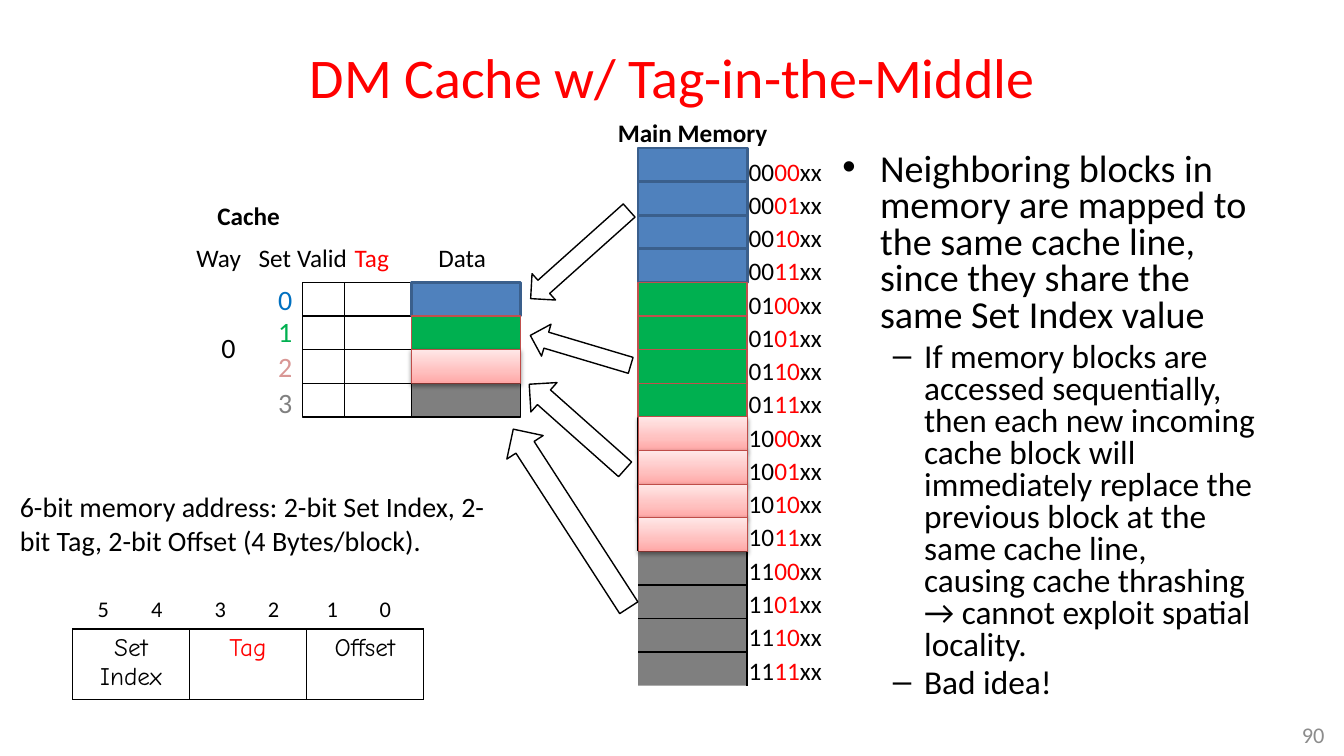
"""Build the slide on a direct-mapped cache with the tag in the middle."""
from copy import deepcopy
from lxml import etree
from pptx import Presentation
from pptx import util as u
from pptx.dml.color import RGBColor
from pptx.enum import shapes, text
from pptx.oxml import ns

rgb = RGBColor.from_string
presentation = Presentation()
presentation.slide_width, presentation.slide_height = u.Cm(33.87), u.Cm(19.05)
slide = presentation.slides.add_slide(presentation.slide_layouts[6])


def add_line(x1, y1, x2, y2):
    line = slide.shapes.add_connector(
        shapes.MSO_CONNECTOR.STRAIGHT, u.Cm(x1), u.Cm(y1), u.Cm(x2), u.Cm(y2))
    line.line.color.rgb = rgb("000000")
    line.line.width = u.Pt(1)
    etree.SubElement(line._element.spPr, ns.qn("a:effectLst"))


def add_text(content, left, top, width, height, size, colour="000000", wrap=False):
    box = slide.shapes.add_textbox(u.Cm(left), u.Cm(top), u.Cm(width), u.Cm(height))
    box.text_frame.word_wrap = wrap
    box.text_frame.text = content
    for paragraph in box.text_frame.paragraphs:
        paragraph.font.name = "Calibri"
        paragraph.font.size = u.Pt(size)
        paragraph.font.color.rgb = rgb(colour)
    return box.text_frame


title = add_text("DM Cache w/ Tag-in-the-Middle", 1.7, 0.33, 30.48, 3.18, 40, "FF0000", True)
title.vertical_anchor = text.MSO_ANCHOR.MIDDLE
title.paragraphs[0].alignment = text.PP_ALIGN.CENTER

row_height = 13.55 / 16
memory_left, memory_top = 16.08, 3.73
cache_top = memory_top + 4 * row_height
data_left, block_width = 10.37, 2.75
memory_right = memory_left + block_width
gray_top = memory_top + 12 * row_height

for left, width in ((7.62, 1.06), (8.68, 1.69), (data_left, block_width)):
    column = slide.shapes.add_shape(
        shapes.MSO_SHAPE.RECTANGLE, u.Cm(left), u.Cm(cache_top), u.Cm(width), u.Cm(4 * row_height))
    column.shadow.inherit = False
    column.fill.background()
    column.line.color.rgb = rgb("000000")
    column.line.width = u.Pt(1)
    for row in range(1, 4):
        y = cache_top + row * row_height
        add_line(left, y, left + width, y)

for row in range(16):
    y = memory_top + row * row_height
    add_line(memory_left, y, memory_right, y)
add_line(memory_left, memory_top, memory_left, gray_top)
add_line(memory_right, memory_top, memory_right, memory_top + 16 * row_height)

palette = [("4F81BD", "3A5F8C", 2), ("00B050", "C0504D", 1),
           ("FFA6A5", "BF4C48", 0.75), ("000000", None, 0)]
pink_stops = [(0, "FFA6A5"), (0.35, "FFC0BF"), (1, "FFE7E7")]
blocks = [(memory_left, memory_top + row * row_height, row // 4) for row in range(16)]
blocks += [(data_left, cache_top + row * row_height, row) for row in range(4)]
for left, top, group in blocks:
    fill, outline, weight = palette[group]
    block = slide.shapes.add_shape(
        shapes.MSO_SHAPE.RECTANGLE, u.Cm(left), u.Cm(top), u.Cm(block_width), u.Cm(row_height))
    block.shadow.inherit = False
    properties = block._element.spPr
    if group == 2:
        block.fill.gradient()
        block.fill.gradient_angle = 90
        stop_list = properties.find(".//" + ns.qn("a:gsLst"))
        stop_list.append(deepcopy(stop_list[0]))
        for stop, (position, colour) in zip(block.fill.gradient_stops, pink_stops):
            stop.position = position
            stop.color.rgb = rgb(colour)
        shadow = etree.SubElement(
            properties.find(ns.qn("a:effectLst")), ns.qn("a:outerShdw"),
            blurRad="40000", dist="20000", dir="5400000", rotWithShape="0")
        shade = etree.SubElement(shadow, ns.qn("a:srgbClr"), val="000000")
        etree.SubElement(shade, ns.qn("a:alpha"), val="38000")
    else:
        block.fill.solid()
        block.fill.fore_color.rgb = rgb(fill)
    if outline:
        block.line.color.rgb = rgb(outline)
        block.line.width = u.Pt(weight)
    else:
        block.line.fill.background()
        solid = properties.find(ns.qn("a:solidFill"))
        etree.SubElement(solid[0], ns.qn("a:alpha"), val="50000")

for label, left, top, width in (("Cache", 5.23, 4.93, 2.11), ("Main Memory", 15.32, 2.84, 4.32)):
    add_text(label, left, top, width, 1.02, 18).paragraphs[0].font.bold = True

for label, left, width, colour in (
        ("Way", 4.7, 1.65, "000000"), ("Set", 6.27, 1.35, "000000"),
        ("Valid", 7.24, 1.78, "000000"), ("Tag", 8.69, 1.37, "FF0000"),
        ("Data", 10.8, 1.73, "000000")):
    add_text(label, left, 5.97, width, 1.02, 18, colour)

add_text("0", 5.33, 8.2, 0.86, 1.12, 20)
for number, (top, colour) in enumerate(
        ((6.99, "0070C0"), (7.8, "00B050"), (8.69, "D99694"), (9.6, "808080"))):
    add_text(str(number), 6.76, top, 0.86, 1.12, 20, colour)

addresses = add_text("\n" * 15, 18.62, 3.73, 2.74, 13.79, 18, wrap=True)
for row, paragraph in enumerate(addresses.paragraphs):
    paragraph.line_spacing = 1.1
    bits = f"{row:04b}"
    for part, colour in ((bits[:2], "000000"), (bits[2:], "FF0000"), ("xx", "000000")):
        run = paragraph.add_run()
        run.text = part
        run.font.color.rgb = rgb(colour)

notes = [
    ("Neighboring blocks in memory are mapped to the same cache line, "
     "since they share the same Set Index value", 0),
    ("If memory blocks are accessed sequentially, then each new incoming cache block "
     "will immediately replace the previous block at the same cache line, causing cache "
     "thrashing → cannot exploit spatial locality.", 1),
    ("Bad idea!", 1)]
bullet_styles = [("•", 0.95, 0.95, 27.2), ("–", 2.06, 0.79, 23.8)]
body = slide.shapes.add_textbox(u.Cm(20.98), u.Cm(3.73), u.Cm(10.9), u.Cm(14.88)).text_frame
body.word_wrap = True
body.text = "\n".join(note for note, level in notes)
for paragraph, (note, level) in zip(body.paragraphs, notes):
    symbol, margin, hanging, size = bullet_styles[level]
    paragraph.level = level
    paragraph.line_spacing = 0.8
    if level:
        paragraph.space_before = u.Pt(4.8)
    settings = paragraph._p.get_or_add_pPr()
    settings.set("marL", str(u.Cm(margin)))
    settings.set("indent", str(-u.Cm(hanging)))
    etree.SubElement(settings, ns.qn("a:buFont"), typeface="Arial")
    etree.SubElement(settings, ns.qn("a:buChar"), char=symbol)
    paragraph.font.name = "Calibri"
    paragraph.font.size = u.Pt(size)
    paragraph.font.color.rgb = rgb("000000")

add_text("6-bit memory address: 2-bit Set Index, 2-bit Tag, 2-bit Offset (4 Bytes/block).",
         0.25, 12.22, 12.45, 1.96, 20, wrap=True)

for left, top, width, height, rotation in (
        (12.95, 5.97, 3.33, 0.89, 318.2), (13.31, 8.41, 2.64, 0.84, 16.6),
        (12.93, 10.26, 3.23, 0.99, 41.6), (11.71, 12.52, 5.36, 1.09, 57.1)):
    arrow = slide.shapes.add_shape(
        shapes.MSO_SHAPE.LEFT_ARROW, u.Cm(left), u.Cm(top), u.Cm(width), u.Cm(height))
    arrow.rotation = rotation
    arrow.shadow.inherit = False
    arrow.fill.solid()
    arrow.fill.fore_color.rgb = rgb("FFFFFF")
    arrow.line.color.rgb = rgb("000000")
    arrow.line.width = u.Pt(1)

for bit, left in zip("543210", (2.21, 3.56, 5.16, 6.5, 7.98, 9.32)):
    add_text(bit, left, 14.88, 0.75, 0.94, 16)

fields = (("Set Index", "000000"), ("Tag", "FF0000"), ("Offset", "000000"))
table = slide.shapes.add_table(1, 3, u.Cm(1.83), u.Cm(15.85), u.Cm(8.84), u.Cm(1.04)).table
table.first_row = table.horz_banding = False
for cell, (field, colour) in zip(table.iter_cells(), fields):
    cell.text = field
    cell_properties = cell._tc.get_or_add_tcPr()
    for side in "LRTB":
        border = etree.SubElement(cell_properties, ns.qn(f"a:ln{side}"), w="12700")
        paint = etree.SubElement(border, ns.qn("a:solidFill"))
        etree.SubElement(paint, ns.qn("a:srgbClr"), val="000000")
    cell.fill.background()
    paragraph = cell.text_frame.paragraphs[0]
    paragraph.alignment = text.PP_ALIGN.CENTER
    paragraph.font.name = "Comic Neue"
    paragraph.font.size = u.Pt(18)
    paragraph.font.color.rgb = rgb(colour)

slide_number = add_text("90", 31.93, 17.98, 1.7, 1.07, 16, "8C8C8C", True)
slide_number.vertical_anchor = text.MSO_ANCHOR.MIDDLE
slide_number.paragraphs[0].alignment = text.PP_ALIGN.RIGHT

presentation.save("out.pptx")
